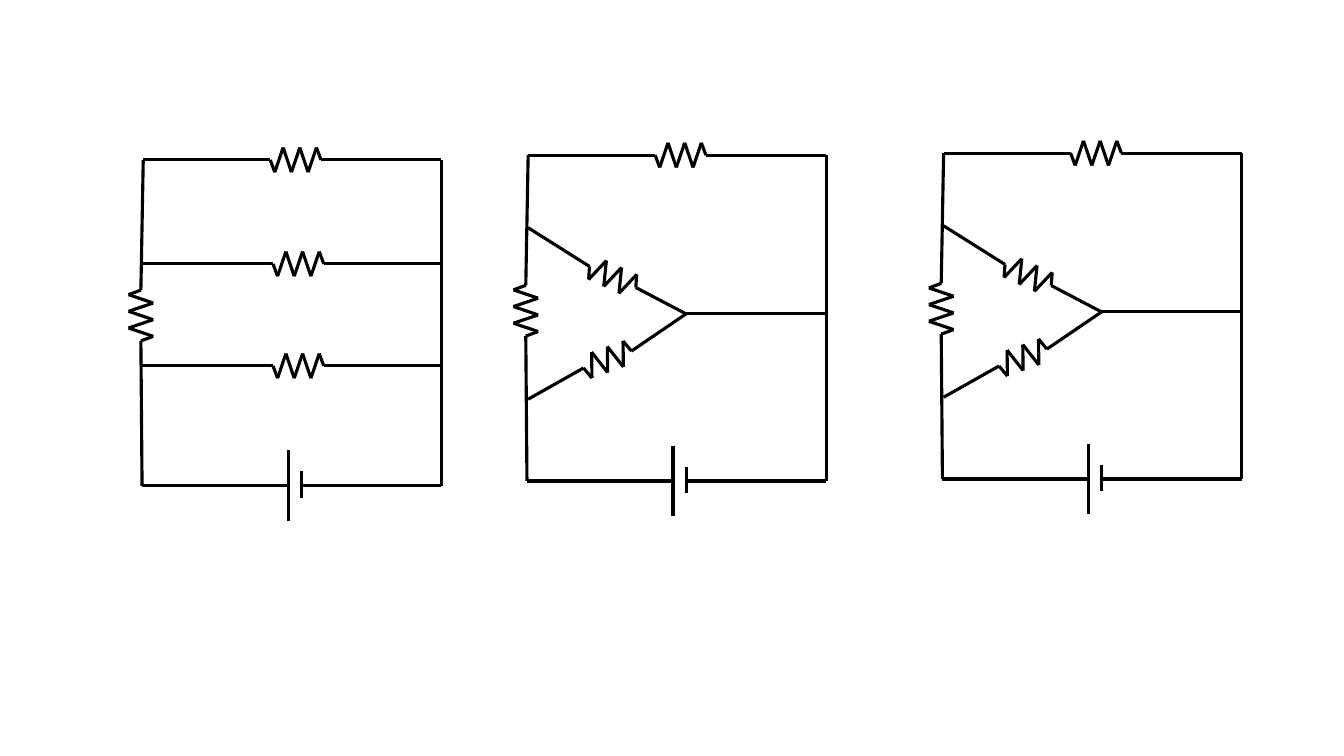
from itertools import pairwise
from math import cos, radians, sin

from lxml import etree
from pptx import Presentation
from pptx.dml.color import RGBColor
from pptx.enum import shapes
from pptx.oxml import ns
from pptx.util import Cm, Pt

COLOURS = {"wire": "000000"}
WEIGHT = 2.25

# All lengths are in cm; circuit parts are measured from the lower left corner.
RIGHT, TOP = 7.54, -8.21
PLATES = (3.68, 4.01)
NODE = (4.01, -4.21)

FRAME = [
    ((PLATES[0], -0.89), (PLATES[0], 0.89)),
    ((PLATES[1], -0.36), (PLATES[1], 0.3)),
    ((0, 0), (PLATES[0], 0)),
    ((PLATES[1], 0), (RIGHT, 0)),
    ((RIGHT, 0), (RIGHT, TOP)),
]

# Branch: start, centre of the resistor, its angle in degrees, end
SIDES = [
    ((0, 0), (-0.03, -4.29), -90, (0.03, TOP)),
    ((0.03, TOP), (3.87, TOP), 0, (RIGHT, TOP)),
]
RUNGS = [((0, y), (3.94, y), 0, (RIGHT, y)) for y in (-5.59, -3.02)]
FORK = [
    ((0.03, -6.38), (2.16, -5.14), 24.5, NODE),
    ((0.03, -2.06), (2.03, -3.06), -19.5, NODE),
]
TAIL = [(NODE, (RIGHT, NODE[1]))]

# Circuit: lower left corner, plain wires, branches
CIRCUITS = [
    ((3.58, 12.24), FRAME, SIDES + RUNGS),
    ((13.28, 12.12), FRAME + TAIL, SIDES + FORK),
    ((23.75, 12.07), FRAME + TAIL, SIDES + FORK),
]

HALF, PEAK, PITCH = 0.64, 0.31, 0.21
ZIGZAG = [
    (-HALF, 0),
    *((PITCH * (i - 2.5), PEAK * (-1) ** i) for i in range(6)),
    (HALF, 0),
]


def turn(centre, angle):
    """Return the zigzag points turned by the angle about the centre."""
    c, s = cos(radians(angle)), sin(radians(angle))
    return [(centre[0] + x * c - y * s, centre[1] + x * s + y * c)
            for x, y in ZIGZAG]


def add_wire(group, origin, start, end):
    ends = [Cm(o + p) for point in (start, end) for o, p in zip(origin, point)]
    wire = group.shapes.add_connector(shapes.MSO_CONNECTOR.STRAIGHT, *ends)
    wire.line.width = Pt(WEIGHT)
    wire.line.color.rgb = RGBColor.from_string(COLOURS["wire"])
    etree.SubElement(wire._element.spPr, ns.qn("a:effectLst"))


def main():
    deck = Presentation()
    deck.slide_width, deck.slide_height = Cm(33.87), Cm(19.05)
    slide = deck.slides.add_slide(deck.slide_layouts[6])
    for origin, wires, branches in CIRCUITS:
        group = slide.shapes.add_group_shape()
        for start, end in wires:
            add_wire(group, origin, start, end)
        for start, centre, angle, end in branches:
            for a, b in pairwise([start, *turn(centre, angle), end]):
                add_wire(group, origin, a, b)
    deck.save("out.pptx")


if __name__ == "__main__":
    main()
